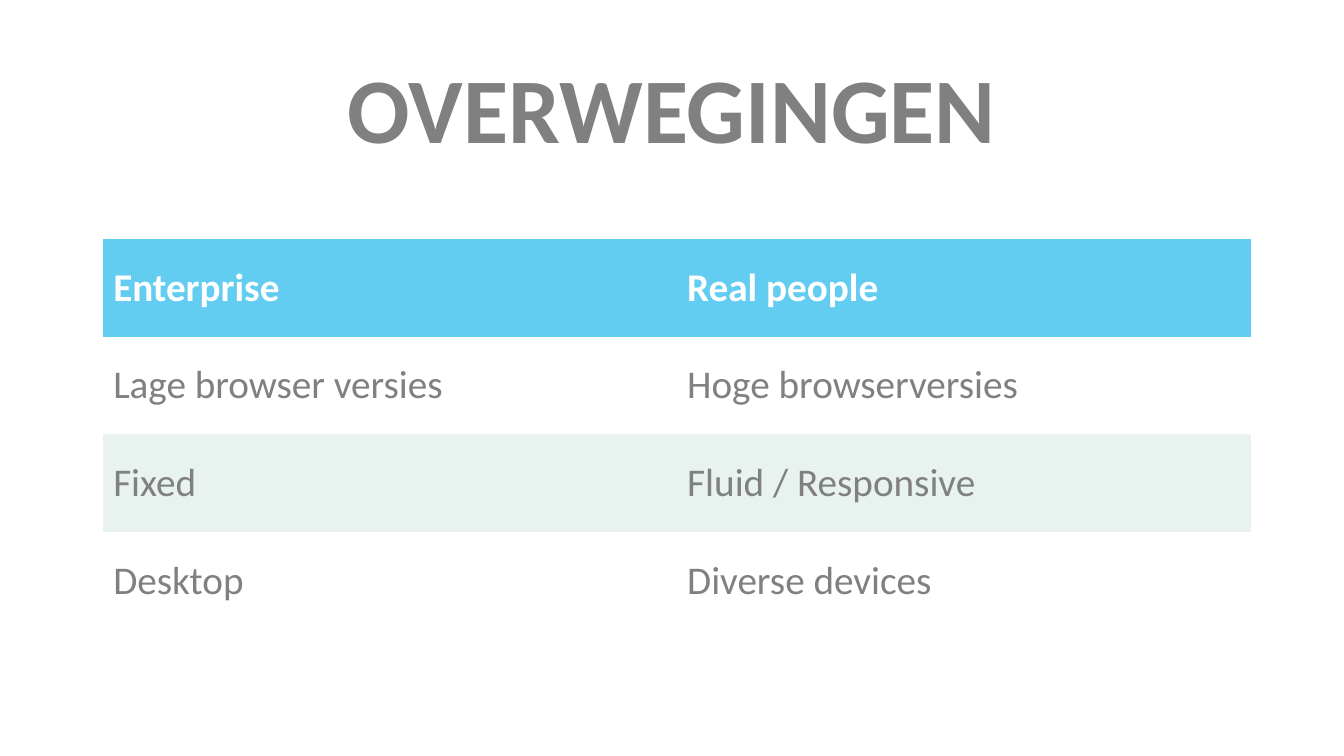
from pptx import Presentation
from pptx.dml.color import RGBColor
from pptx.enum.text import MSO_ANCHOR, PP_ALIGN
from pptx.oxml.ns import qn
from pptx.util import Cm, Pt

MIDDLE = MSO_ANCHOR.MIDDLE
CENTER = PP_ALIGN.CENTER
TITLE_ONLY = 5
FONT = "Calibri"
GREY, WHITE, SKY, MINT = "808080", "FFFFFF", "63CCF1", "E8F2EE"
PLAIN_STYLE = "{2D5ABB26-0587-4C30-8999-92F81FD0307C}"

CONSIDERATIONS = [
    ("Enterprise", "Real people"),
    ("Lage browser versies", "Hoge browserversies"),
    ("Fixed", "Fluid / Responsive"),
    ("Desktop", "Diverse devices"),
]


def rgb(value):
    """Turn a hex string into a colour."""
    return RGBColor.from_string(value)


def format_runs(paragraph, size, color, bold):
    """Give every run of a paragraph its font."""
    for run in paragraph.runs:
        run.font.name = FONT
        run.font.size = Pt(size)
        run.font.bold = bold
        run.font.color.rgb = rgb(color)


def place_heading(slide, text, left, top, width, height):
    """Fill the title placeholder within the given box."""
    heading = slide.shapes.title
    heading.left, heading.top = left, top
    heading.width, heading.height = width, height
    frame = heading.text_frame
    frame.text = text
    frame.word_wrap = True
    frame.vertical_anchor = MIDDLE
    paragraph = frame.paragraphs[0]
    paragraph.alignment = CENTER
    paragraph.line_spacing = 0.9
    format_runs(paragraph, 66, GREY, True)


def place_comparison(slide, rows, left, top, width, height):
    """Draw the comparison table with a header and alternating rows."""
    comparison = slide.shapes.add_table(
        len(rows), len(rows[0]), left, top, width, height
    ).table
    comparison._tbl.tblPr.find(qn("a:tableStyleId")).text = PLAIN_STYLE
    for row_index, row in enumerate(rows):
        is_header = row_index == 0
        band = SKY if is_header else (WHITE if row_index % 2 else MINT)
        for column_index, text in enumerate(row):
            cell = comparison.cell(row_index, column_index)
            cell.text_frame.text = text
            cell.vertical_anchor = MIDDLE
            cell.fill.solid()
            cell.fill.fore_color.rgb = rgb(band)
            color = WHITE if is_header else GREY
            format_runs(cell.text_frame.paragraphs[0], 28, color, is_header)


def main():
    """Build and save the slide."""
    deck = Presentation()
    deck.slide_width, deck.slide_height = Cm(33.87), Cm(19.05)
    slide = deck.slides.add_slide(deck.slide_layouts[TITLE_ONLY])
    place_heading(slide, "OVERWEGINGEN", Cm(2.33), Cm(1.01), Cm(29.21), Cm(3.68))
    place_comparison(slide, CONSIDERATIONS, Cm(2.6), Cm(6.02), Cm(28.93), Cm(9.85))
    deck.save("out.pptx")


if __name__ == "__main__":
    main()
